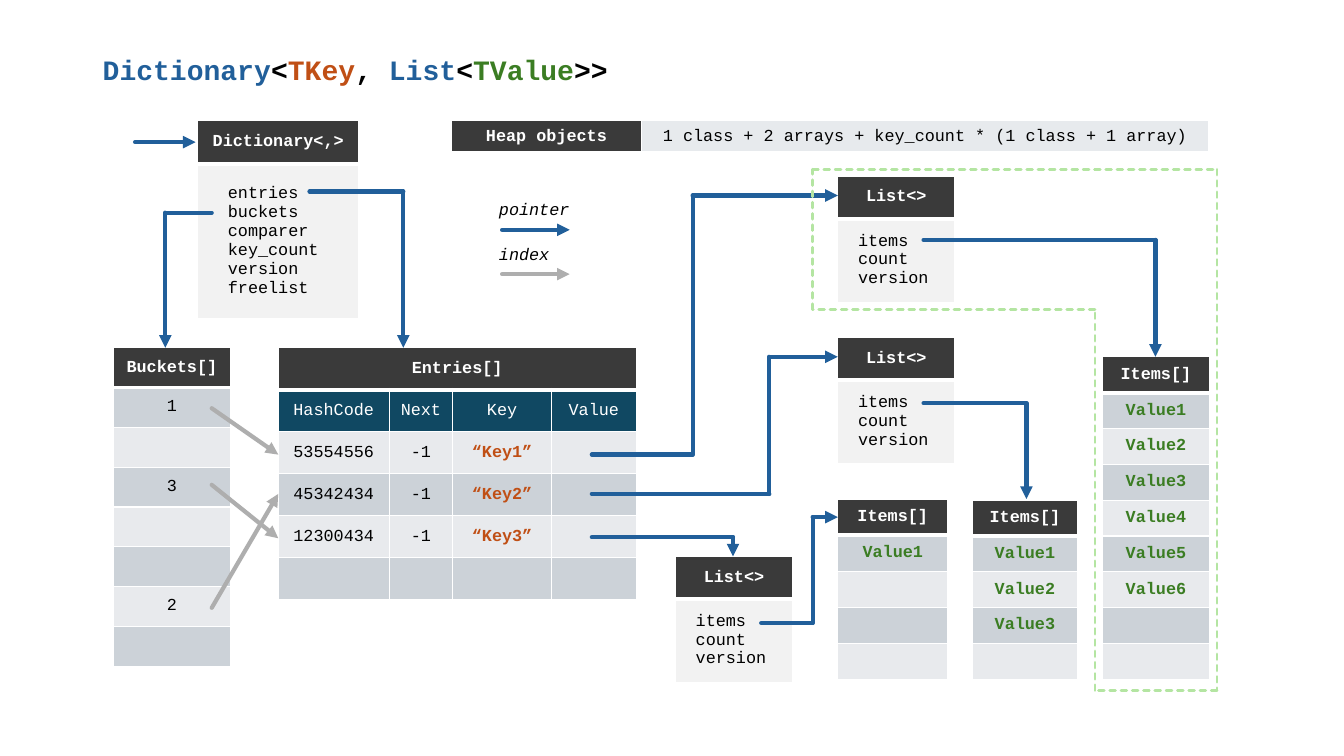
import lxml.etree
import pptx
import pptx.dml.color
import pptx.enum.dml
import pptx.enum.shapes
import pptx.enum.text
import pptx.oxml.ns
import pptx.util

RGBColor = pptx.dml.color.RGBColor
WHITE = RGBColor(0xFF, 0xFF, 0xFF)
BLACK = RGBColor(0, 0, 0)
BLUE = RGBColor(0x21, 0x5F, 0x9A)
ORANGE = RGBColor(0xC0, 0x4F, 0x15)
GREEN = RGBColor(0x3B, 0x7D, 0x23)
LIGHT_GREEN = RGBColor(0xB4, 0xE5, 0xA2)
GRAY = RGBColor(0xAE, 0xAE, 0xAE)
DARK = RGBColor(0x3A, 0x3A, 0x3A)
NAVY = RGBColor(0x10, 0x48, 0x62)
PALE = RGBColor(0xF2, 0xF2, 0xF2)
BANDS = (RGBColor(0xE8, 0xEA, 0xED), RGBColor(0xCC, 0xD2, 0xD8))
NOTE_FILL = RGBColor(0xE7, 0xEA, 0xED)

FONT = "Courier New"
PX = 9144  # 100 px to the inch
CENTER = pptx.enum.text.PP_ALIGN.CENTER
MIDDLE = pptx.enum.text.MSO_ANCHOR.MIDDLE
DASH = pptx.enum.dml.MSO_LINE.SQUARE_DOT


def px(*lengths):
    return [pptx.util.Emu(round(length * PX)) for length in lengths]


def add_xml(parent, tag, **attributes):
    return lxml.etree.SubElement(parent, pptx.oxml.ns.qn(tag), attributes)


def add_run(paragraph, text, color, size=12, bold=False, italic=False):
    run = paragraph.add_run()
    run.text = text
    run.font.name = FONT
    run.font.size = pptx.util.Pt(size)
    run.font.bold = bold
    run.font.italic = italic
    run.font.color.rgb = color


# Table parts
def format_cell(cell, fill, thick_bottom=False):
    properties = cell._tc.get_or_add_tcPr()
    for side in "LRTB":
        width = 3 if side == "B" and thick_bottom else 1
        border = add_xml(properties, f"a:ln{side}", w=str(pptx.util.Pt(width)))
        add_xml(add_xml(border, "a:solidFill"), "a:srgbClr", val=str(WHITE))
    cell.fill.solid()
    cell.fill.fore_color.rgb = fill
    cell.vertical_anchor = MIDDLE


def fill_cell(cell, text, color, fill, bold=False, thick_bottom=False):
    format_cell(cell, fill, thick_bottom)
    paragraph = cell.text_frame.paragraphs[0]
    paragraph.alignment = CENTER
    if text:
        add_run(paragraph, text, color, bold=bold)
    else:
        add_xml(paragraph._p, "a:endParaRPr", sz="1200")


def header_cell(cell, text):
    fill_cell(cell, text, WHITE, DARK, bold=True, thick_bottom=True)


def add_table(slide, left, top, widths, heights):
    frame = slide.shapes.add_table(len(heights), len(widths),
                                   *px(left, top, sum(widths), sum(heights)))
    table = frame.table
    table.first_row = False
    table.horz_banding = False
    for column, width in zip(table.columns, widths):
        column.width = px(width)[0]
    for row, height in zip(table.rows, heights):
        row.height = px(height)[0]
    return table


def add_array(slide, box, name, values, color, bold):
    left, top, width, height = box
    count = len(values) + 1
    table = add_table(slide, left, top, [width], [height / count] * count)
    header_cell(table.cell(0, 0), name)
    for row, value in enumerate(values, 1):
        fill_cell(table.cell(row, 0), value, color, BANDS[row % 2], bold)


def add_object(slide, box, header_height, name, fields, indent):
    left, top, width, height = box
    table = add_table(slide, left, top, [width],
                      [header_height, height - header_height])
    header_cell(table.cell(0, 0), name)
    body = table.cell(1, 0)
    format_cell(body, PALE)
    for index, field in enumerate(fields):
        frame = body.text_frame
        paragraph = frame.add_paragraph() if index else frame.paragraphs[0]
        paragraph._p.get_or_add_pPr().set("marL", "0")
        paragraph._p.get_or_add_pPr().set("indent", str(px(indent)[0]))
        add_run(paragraph, field, BLACK)


def add_entries(slide, left, top):
    table = add_table(slide, left, top, [110, 63, 98, 84], [250 / 6] * 6)
    table.cell(0, 0).merge(table.cell(0, 3))
    header_cell(table.cell(0, 0), "Entries[]")
    for column, title in enumerate(["HashCode", "Next", "Key", "Value"]):
        fill_cell(table.cell(1, column), title, WHITE, NAVY)
    rows = [("53554556", "-1", "“Key1”", ""), ("45342434", "-1", "“Key2”", ""),
            ("12300434", "-1", "“Key3”", ""), ("", "", "", "")]
    for row, values in enumerate(rows, 2):
        for column, value in enumerate(values):
            is_key = column == 2
            fill_cell(table.cell(row, column), value,
                      ORANGE if is_key else BLACK, BANDS[row % 2], is_key)


def add_heap_summary(slide, left, top):
    table = add_table(slide, left, top, [188, 563], [33])
    header_cell(table.cell(0, 0), "Heap objects")
    fill_cell(table.cell(0, 1),
              "1 class + 2 arrays + key_count * (1 class + 1 array)",
              BLACK, NOTE_FILL, thick_bottom=True)


# Lines
def add_route(slide, points, color=BLUE, width=3, dash=None, arrow=True):
    """Join the points by straight segments, with an arrowhead on the last."""
    for start, end in zip(points, points[1:]):
        connector = slide.shapes.add_connector(
            pptx.enum.shapes.MSO_CONNECTOR.STRAIGHT, *px(*start, *end))
        line = connector.line
        line.color.rgb = color
        line.width = pptx.util.Pt(width)
        if dash:
            line.dash_style = dash
        outline = line._get_or_add_ln()
        outline.set("cap", "rnd")
        if arrow and end == points[-1]:
            add_xml(outline, "a:tailEnd", type="triangle")
        add_xml(connector._element.spPr, "a:effectLst")


# Text regions
def add_title(slide, left, top, width, height):
    frame = slide.shapes.add_textbox(*px(left, top, width, height)).text_frame
    frame.word_wrap = True
    frame.vertical_anchor = MIDDLE
    paragraph = frame.paragraphs[0]
    paragraph.line_spacing = 0.9
    for text, color in [("Dictionary", BLUE), ("<", BLACK), ("TKey", ORANGE),
                        (", ", BLACK), ("List", BLUE), ("<", BLACK),
                        ("TValue", GREEN), (">>", BLACK)]:
        add_run(paragraph, text, color, size=20, bold=True)


def add_legend(slide, left, top):
    for index, (name, width, color) in enumerate([("pointer", 91, BLUE),
                                                  ("index", 71, GRAY)]):
        y = top + 45 * index
        frame = slide.shapes.add_textbox(*px(left, y, width, 30)).text_frame
        frame.word_wrap = False
        frame.auto_size = pptx.enum.text.MSO_AUTO_SIZE.SHAPE_TO_FIT_TEXT
        add_run(frame.paragraphs[0], name, BLACK, italic=True)
        arrow_y = top + 36 + 44 * index
        add_route(slide, [(left + 13, arrow_y), (left + 80, arrow_y)], color)


def add_pointers(slide):
    for points in [
        [(134, 141), (194, 141)],                            # to Dictionary
        [(210, 211), (164, 211), (164, 345)],                # to Buckets
        [(307, 190), (400, 190), (400, 345)],                # to Entries
        [(587, 451), (687, 451), (687, 194), (831, 194)],    # Key1 to List
        [(587, 490), (763, 490), (763, 354), (831, 354)],    # Key2 to List
        [(587, 533), (727, 533), (727, 552)],                # Key3 to List
        [(916, 238), (1146, 238), (1146, 354)],              # Lists to Items
        [(916, 400), (1018, 400), (1018, 495)],
        [(755, 618), (806, 618), (806, 513), (831, 513)],
    ]:
        add_route(slide, points)
    # Bucket indexes
    for start_y, end_y in [(405, 451), (603, 490), (481, 534)]:
        add_route(slide, [(210, start_y), (276, end_y)], GRAY)


def build_slide(slide):
    add_title(slide, 92, 40, 575, 62)
    add_heap_summary(slide, 448, 119)
    add_object(slide, (196, 119, 160, 197), 44, "Dictionary<,>",
               ["entries", "buckets", "comparer", "key_count", "version",
                "freelist"], 20)
    add_array(slide, (112, 345, 117, 316), "Buckets[]",
              ["1", "", "3", "", "", "2", ""], BLACK, False)
    add_entries(slide, 276, 345)
    for left, top in [(831, 175), (831, 335), (670, 552)]:
        add_object(slide, (left, top, 116, 125), 42, "List<>",
                   ["items", "count", "version"], 10)
    for box, used, free in [((1093, 354, 107, 320), 6, 2),
                            ((964, 496, 105, 178), 3, 1),
                            ((831, 495, 109, 179), 1, 3)]:
        values = [f"Value{number}" for number in range(1, used + 1)]
        add_array(slide, box, "Items[]", values + [""] * free, GREEN, True)
    add_pointers(slide)
    add_legend(slide, 485, 192)
    # Dashed outline round one list and its items
    add_route(slide, [(806, 168), (1207, 168), (1207, 685), (1086, 685),
                      (1086, 307), (806, 307), (806, 168)],
              LIGHT_GREEN, 2, DASH, arrow=False)


def main():
    presentation = pptx.Presentation()
    presentation.slide_width, presentation.slide_height = px(1333, 750)
    build_slide(presentation.slides.add_slide(presentation.slide_layouts[6]))
    presentation.save("out.pptx")


if __name__ == "__main__":
    main()
